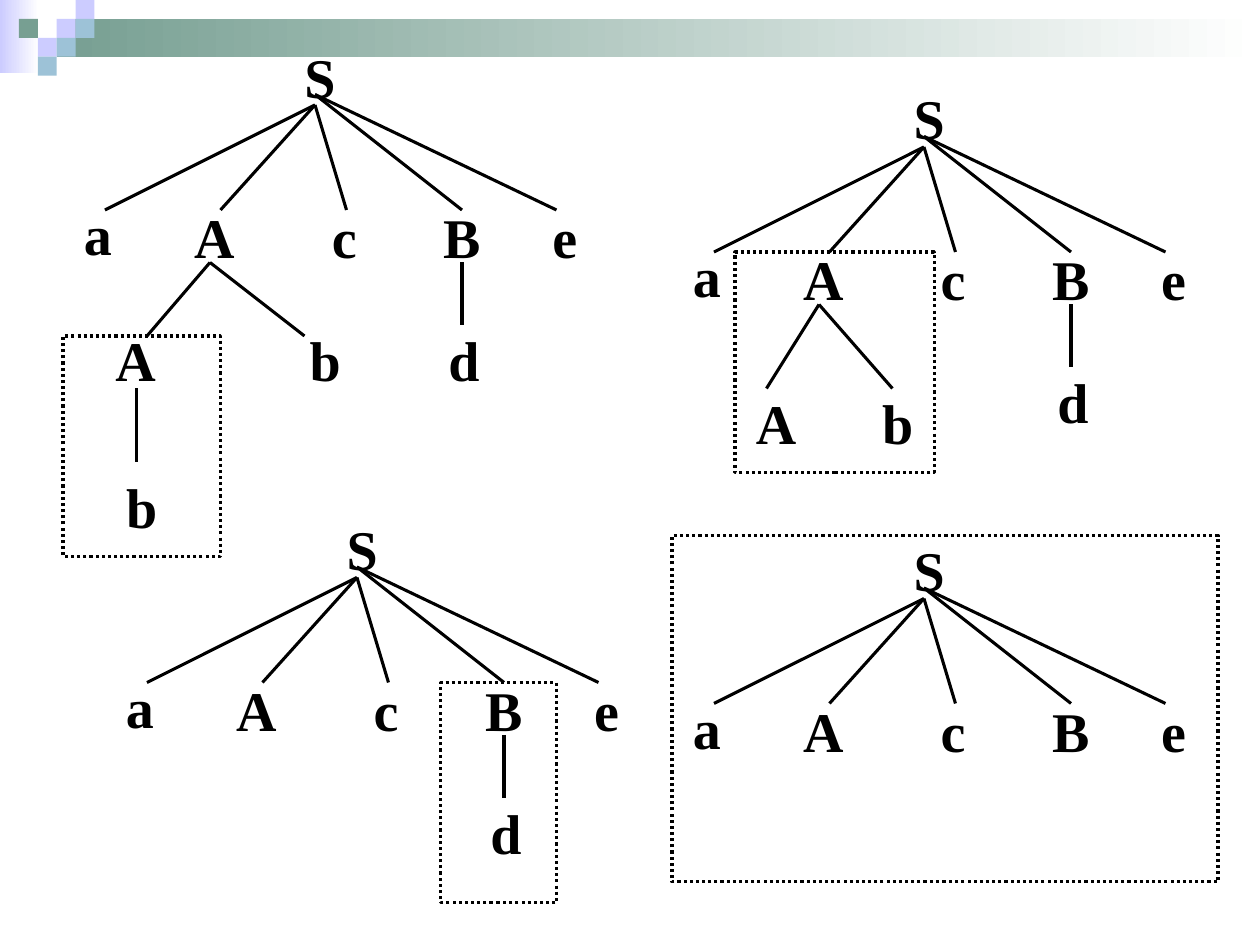
from dataclasses import dataclass

from lxml.etree import SubElement
from pptx import Presentation
from pptx.dml.color import RGBColor
from pptx.enum.dml import MSO_LINE_DASH_STYLE as Dash
from pptx.enum.shapes import MSO_CONNECTOR as Connector, MSO_SHAPE as Preset
from pptx.enum.text import MSO_AUTO_SIZE as AutoSize, PP_ALIGN as Align
from pptx.oxml.ns import qn
from pptx.util import Pt

PX = 7620  # EMU; 120 px to the inch


@dataclass(frozen=True)
class Theme:
    ink: RGBColor = RGBColor(0x00, 0x00, 0x00)
    paper: RGBColor = RGBColor(0xFF, 0xFF, 0xFF)
    lilac: RGBColor = RGBColor(0xCC, 0xCC, 0xFF)
    green: RGBColor = RGBColor(0x77, 0x9F, 0x92)
    blue: RGBColor = RGBColor(0x9D, 0xC2, 0xD7)
    font: str = "Times New Roman"
    symbol_size: Pt = Pt(32)
    stroke: Pt = Pt(1.75)


THEME = Theme()
SYMBOL_FONT = {"name": THEME.font, "size": THEME.symbol_size, "bold": True}
SYMBOL_FRAME = {"margin_left": 0, "margin_top": 0, "margin_right": 0,
                "margin_bottom": 0, "word_wrap": False,
                "auto_size": AutoSize.SHAPE_TO_FIT_TEXT}
SYMBOL_WIDTH = {"S": 30, "A": 38, "B": 36, "a": 27, "b": 30, "c": 24,
                "d": 30, "e": 24}
SYMBOL_HEIGHT = 64

# Every tree starts with the production S -> a A c B e
ROOT_SYMBOLS = [("S", 210, 0), ("a", 0, 150), ("A", 105, 153),
                ("c", 236, 153), ("B", 342, 153), ("e", 446, 153)]
ROOT_BRANCHES = [(220, 60, 20, 160), (220, 60, 130, 160), (220, 60, 250, 160),
                 (220, 50, 360, 160), (220, 50, 450, 160)]

# Further productions: symbols and branches, relative to the tree
B_TO_D = ([("d", 347, 270)], [(360, 210, 360, 270)])
A_TO_AB = ([("A", 30, 270), ("b", 215, 270)],
           [(120, 210, 60, 280), (120, 210, 210, 280)])
A_TO_AB_NARROW = ([("A", 60, 290), ("b", 180, 290)],
                  [(120, 210, 70, 290), (120, 210, 190, 290)])
A_TO_B = ([("b", 40, 410)], [(50, 330, 50, 400)])

# Tree origin, productions, and the handle frame relative to the tree
TREES = [
    ((80, 40), [A_TO_AB, A_TO_B, B_TO_D], (-20, 280, 150, 210)),
    ((660, 80), [A_TO_AB_NARROW, B_TO_D], (40, 160, 190, 210)),
    ((120, 490), [B_TO_D], (300, 160, 110, 210)),
    ((660, 510), [], (-20, 0, 520, 330)),
]


def apply(target, formats):
    for key, value in formats.items():
        setattr(target, key, value)


def emu(*lengths):
    return [length * PX for length in lengths]


def add_block(shapes, box, start, end=None):
    """A borderless rectangle, fading to the right when an end colour is given."""
    block = shapes.add_shape(Preset.RECTANGLE, *emu(*box))
    block.shadow.inherit = False
    block.line.fill.background()
    if end is None:
        block.fill.solid()
        block.fill.fore_color.rgb = start
        return
    block.fill.gradient()
    block.fill.gradient_angle = 0
    for stop, colour, position in zip(block.fill.gradient_stops, (start, end), (0, 1)):
        stop.color.rgb = colour
        stop.position = position


def add_symbol(shapes, symbol, x, y):
    label = shapes.add_textbox(*emu(x, y, SYMBOL_WIDTH[symbol], SYMBOL_HEIGHT))
    apply(label.text_frame, SYMBOL_FRAME)
    paragraph = label.text_frame.paragraphs[0]
    paragraph.alignment = Align.JUSTIFY
    run = paragraph.add_run()
    run.text = symbol
    apply(run.font, SYMBOL_FONT)
    run.font.color.rgb = THEME.ink


def add_branch(shapes, x1, y1, x2, y2):
    branch = shapes.add_connector(Connector.STRAIGHT, *emu(x1, y1, x2, y2))
    branch.line.color.rgb = THEME.ink
    branch.line.width = THEME.stroke
    SubElement(branch.element.spPr, qn("a:effectLst"))


def add_handle_frame(shapes, box):
    frame = shapes.add_shape(Preset.RECTANGLE, *emu(*box))
    frame.shadow.inherit = False
    frame.fill.background()
    frame.line.color.rgb = THEME.ink
    apply(frame.line, {"width": THEME.stroke, "dash_style": Dash.ROUND_DOT})


def add_header(slide, left, top, width):
    """Fading side rail and band, with a mosaic of small squares."""
    shapes = slide.shapes.add_group_shape().shapes
    cell = 18
    add_block(shapes, (left, top, 37, 70), THEME.lilac, THEME.paper)
    band_left = 3 * cell
    add_block(shapes, (left + band_left, top + cell, width - band_left, 2 * cell),
              THEME.green, THEME.paper)
    mosaic = {THEME.lilac: [(3, 1), (4, 0), (2, 2)],
              THEME.blue: [(4, 1), (3, 2), (2, 3)],
              THEME.green: [(1, 1)]}
    for colour, places in mosaic.items():
        for column, row in places:
            add_block(shapes, (left + column * cell, top + row * cell, cell, cell), colour)


def add_tree(slide, origin, productions, handle):
    left, top = origin
    shapes = slide.shapes.add_group_shape().shapes
    for symbols, branches in [(ROOT_SYMBOLS, ROOT_BRANCHES), *productions]:
        for symbol, x, y in symbols:
            add_symbol(shapes, symbol, left + x, top + y)
        for x1, y1, x2, y2 in branches:
            add_branch(shapes, left + x1, top + y1, left + x2, top + y2)
    x, y, width, height = handle
    add_handle_frame(slide.shapes, (left + x, top + y, width, height))


def main():
    deck = Presentation()
    deck.slide_width, deck.slide_height = emu(1200, 900)
    slide = deck.slides.add_slide(deck.slide_layouts[6])
    add_header(slide, 0, 0, 1200)
    for origin, productions, handle in TREES:
        add_tree(slide, origin, productions, handle)
    deck.save("out.pptx")


if __name__ == "__main__":
    main()
